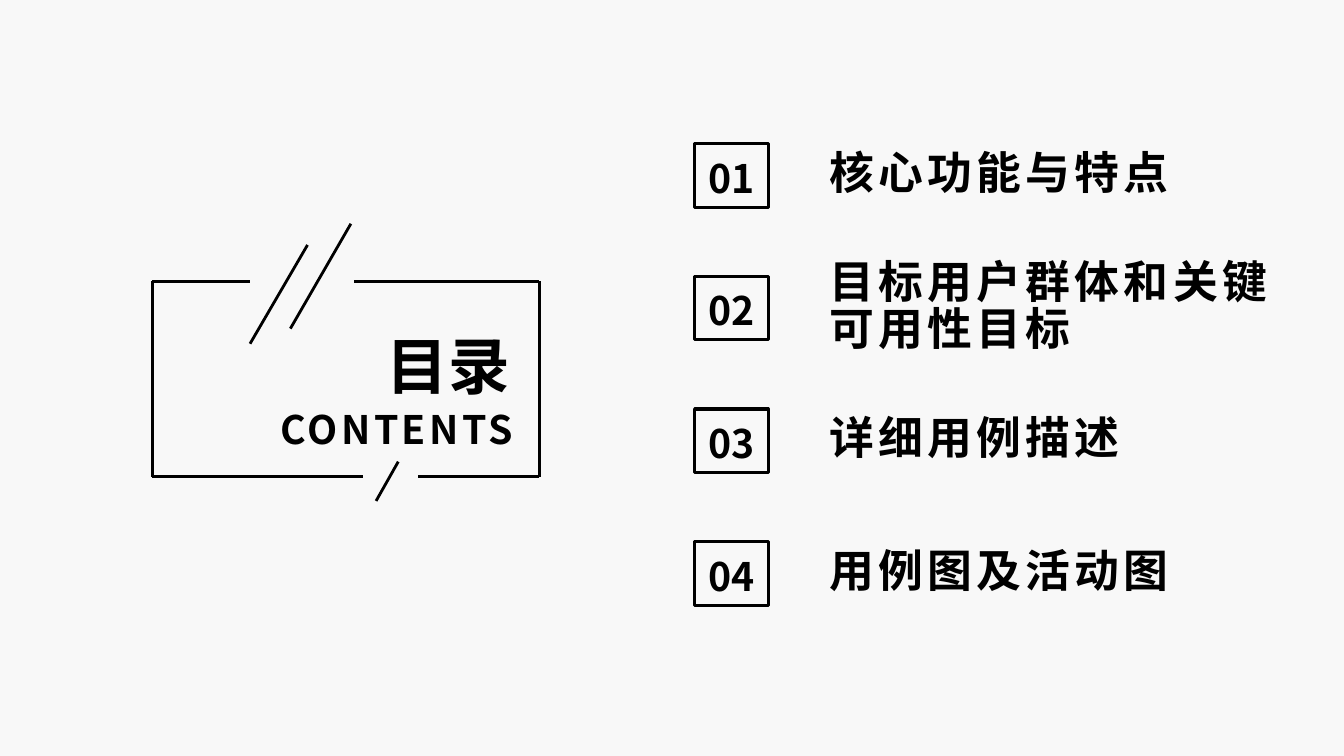
from dataclasses import dataclass

from lxml import etree
from pptx import Presentation
from pptx.dml.color import RGBColor
from pptx.enum import shapes, text
from pptx.oxml import ns
from pptx.util import Inches, Pt


@dataclass(frozen=True)
class Theme:
    ink: RGBColor = RGBColor(0x00, 0x00, 0x00)
    paper: RGBColor = RGBColor(0xF8, 0xF8, 0xF8)
    heading_font: str = "Arial"
    body_font: str = "Noto Sans CJK SC"
    heading_size: int = 44
    chapter_size: int = 32
    label_size: int = 28
    frame_line: float = 2
    box_line: float = 2.25


THEME = Theme()
HEADING = "目录"
SUBHEADING = "CONTENTS"
CHAPTERS = ["核心功能与特点", "目标用户群体和关键可用性目标", "详细用例描述", "用例图及活动图"]

LEFT, RIGHT, TOP, BOTTOM = 1.51, 5.35, 2.79, 4.73
FRAME = [
    (LEFT, TOP, 2.48, TOP),
    (LEFT, BOTTOM, 3.6, BOTTOM),
    (LEFT, TOP, LEFT, BOTTOM),
    (RIGHT, TOP, 3.51, TOP),
    (RIGHT, BOTTOM, 4.15, BOTTOM),
    (RIGHT, TOP, RIGHT, BOTTOM),
]
SLASHES = [(3.95, 4.58, 3.73, 4.97), (3.05, 2.43, 2.48, 3.41), (3.48, 2.22, 2.88, 3.26)]

FIRST_CENTER, LAST_CENTER = 1.74, 5.69
BOX_LEFT, BOX_WIDTH, BOX_HEIGHT = 6.89, 0.73, 0.63
CHAPTER_LEFT, CHAPTER_WIDTH, CHAPTER_HEIGHT = 8.23, 4.53, 0.79


def inches(*lengths):
    return [Inches(length) for length in lengths]


def draw_line(slide, ends):
    stroke = slide.shapes.add_connector(shapes.MSO_CONNECTOR.STRAIGHT, *inches(*ends))
    stroke.line.color.rgb = THEME.ink
    stroke.line.width = Pt(THEME.frame_line)
    etree.SubElement(stroke._element.spPr, ns.qn("a:effectLst"))


def write(holder, words, size, font, align, anchor, spacing=0, wrap=True, top=0, leading=None):
    frame = holder.text_frame
    frame.auto_size = text.MSO_AUTO_SIZE.NONE
    frame.word_wrap = wrap
    frame.vertical_anchor = anchor
    frame.margin_left = frame.margin_right = frame.margin_bottom = 0
    frame.margin_top = Inches(top)
    paragraph = frame.paragraphs[0]
    paragraph.alignment = align
    if leading:
        paragraph.line_spacing = leading
    run = paragraph.add_run()
    run.text = words
    run.font.size = Pt(size)
    run.font.bold = True
    run.font.name = font
    run.font.color.rgb = THEME.ink
    properties = run._r.get_or_add_rPr()
    east_asian = etree.SubElement(properties, ns.qn("a:ea"))
    east_asian.set("typeface", THEME.body_font)
    if spacing:
        properties.set("spc", str(int(spacing * 100)))


def add_heading(slide):
    heading = slide.shapes.title
    heading.left, heading.top, heading.width, heading.height = inches(3.5, 3, 1.56, 0.99)
    write(heading, HEADING, THEME.heading_size, THEME.heading_font,
          text.PP_ALIGN.RIGHT, text.MSO_ANCHOR.BOTTOM)
    subheading = slide.shapes.add_textbox(*inches(2.3, 3.97, 2.79, 0.56))
    write(subheading, SUBHEADING, THEME.label_size, THEME.body_font,
          text.PP_ALIGN.RIGHT, text.MSO_ANCHOR.MIDDLE, spacing=2.4)


def add_chapter(slide, number, chapter, center):
    box = slide.shapes.add_shape(
        shapes.MSO_SHAPE.RECTANGLE,
        *inches(BOX_LEFT, center - BOX_HEIGHT / 2, BOX_WIDTH, BOX_HEIGHT))
    box.shadow.inherit = False
    box.fill.background()
    box.line.color.rgb = THEME.ink
    box.line.width = Pt(THEME.box_line)
    write(box, f"{number:02d}", THEME.label_size, THEME.body_font,
          text.PP_ALIGN.CENTER, text.MSO_ANCHOR.MIDDLE, wrap=False, top=0.04)
    name = slide.shapes.add_textbox(
        *inches(CHAPTER_LEFT, center - CHAPTER_HEIGHT / 2, CHAPTER_WIDTH, CHAPTER_HEIGHT))
    write(name, chapter, THEME.chapter_size, THEME.body_font,
          text.PP_ALIGN.LEFT, text.MSO_ANCHOR.MIDDLE, spacing=3, leading=0.87)


def main():
    deck = Presentation()
    deck.slide_width, deck.slide_height = inches(13.33, 7.5)
    slide = deck.slides.add_slide(deck.slide_layouts[5])
    slide.background.fill.solid()
    slide.background.fill.fore_color.rgb = THEME.paper
    for ends in FRAME + SLASHES:
        draw_line(slide, ends)
    add_heading(slide)
    pitch = (LAST_CENTER - FIRST_CENTER) / (len(CHAPTERS) - 1)
    for index, chapter in enumerate(CHAPTERS):
        add_chapter(slide, index + 1, chapter, FIRST_CENTER + index * pitch)
    deck.save("out.pptx")


if __name__ == "__main__":
    main()
